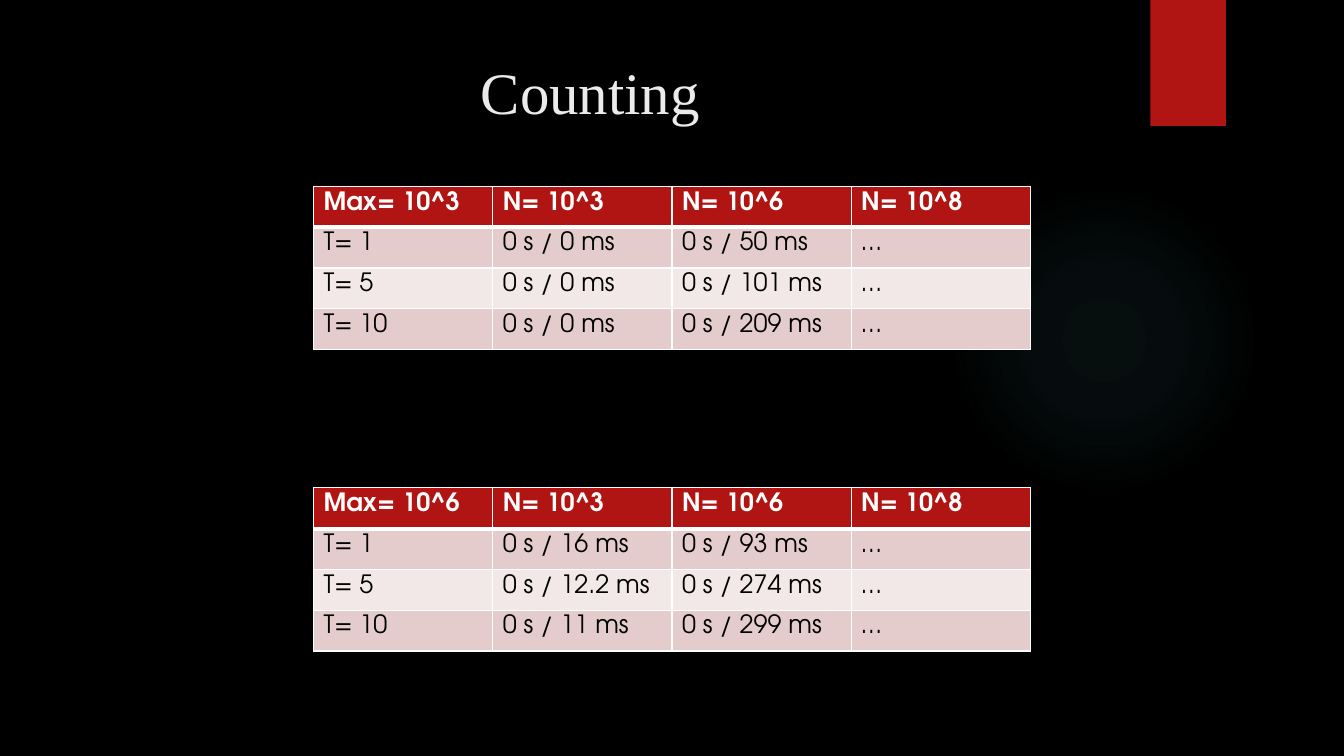
from lxml import etree
from pptx import Presentation
from pptx import util as u
from pptx.dml.color import RGBColor
from pptx.enum import shapes, text
from pptx.oxml import ns

HUES = {
    "back": "000000",
    "title": "EBEBEB",
    "red": "B01513",
    "glow": "50B9C1",
    "dark": "E4CCCC",
    "pale": "F2E8E7",
    "white": "FFFFFF",
    "black": "000000",
}
FONT = "TeX Gyre Adventor"
COUNTS = ["N= 10^3", "N= 10^6", "N= 10^8"]
FAST = [
    ["Max= 10^3", *COUNTS],
    ["T= 1", "0 s / 0 ms", "0 s / 50 ms", "…"],
    ["T= 5", "0 s / 0 ms", "0 s / 101 ms", "…"],
    ["T= 10", "0 s / 0 ms", "0 s / 209 ms", "…"],
]
SLOW = [
    ["Max= 10^6", *COUNTS],
    ["T= 1", "0 s / 16 ms", "0 s / 93 ms", "…"],
    ["T= 5", "0 s / 12.2 ms", "0 s / 274 ms", "…"],
    ["T= 10", "0 s / 11 ms", "0 s / 299 ms", "…"],
]


def paint(fill, hue):
    fill.solid()
    fill.fore_color.rgb = RGBColor.from_string(HUES[hue])


def style(para, font, size, hue, bold=False):
    for run in para.runs:
        run.font.name = font
        run.font.size = u.Pt(size)
        run.font.bold = bold
        run.font.color.rgb = RGBColor.from_string(HUES[hue])


def add_shape(slide, kind, box, hue):
    shape = slide.shapes.add_shape(kind, *map(u.Inches, box))
    shape.shadow.inherit = False
    shape.line.fill.background()
    paint(shape.fill, hue)
    return shape


def add_glow(slide, box):
    shape = add_shape(slide, shapes.MSO_SHAPE.OVAL, box, "glow")
    stops = "".join(
        f'<a:gs pos="{pos * 1000}"><a:srgbClr val="{HUES["glow"]}">'
        f'<a:alpha val="{alpha * 1000}"/></a:srgbClr></a:gs>'
        for pos, alpha in [(0, 7), (36, 6), (69, 0), (100, 0)]
    )
    grad = etree.fromstring(
        f'<a:gradFill {ns.nsdecls("a")}><a:gsLst>{stops}</a:gsLst>'
        '<a:path path="circle"><a:fillToRect l="50000" t="50000" '
        'r="50000" b="50000"/></a:path></a:gradFill>'
    )
    props = shape._element.spPr
    props.replace(props.find(ns.qn("a:solidFill")), grad)


def add_title(slide, words, box):
    frame = slide.shapes.add_textbox(*map(u.Inches, box)).text_frame
    frame.word_wrap = True
    frame.text = words
    para = frame.paragraphs[0]
    para.alignment = text.PP_ALIGN.CENTER
    style(para, "Times New Roman", 42, "title")


def add_lines(cell, row):
    widths = {"L": 1, "R": 1, "T": 3 if row == 1 else 1, "B": 3 if row == 0 else 1}
    props = cell._tc.get_or_add_tcPr()
    for spot, (side, width) in enumerate(widths.items()):
        line = etree.fromstring(
            f'<a:ln{side} {ns.nsdecls("a")} w="{u.Pt(width)}"><a:solidFill>'
            f'<a:srgbClr val="{HUES["white"]}"/></a:solidFill></a:ln{side}>'
        )
        props.insert(spot, line)


def add_grid(slide, rows, box):
    frame = slide.shapes.add_table(len(rows), len(rows[0]), *map(u.Inches, box))
    for r, row in enumerate(rows):
        for c, words in enumerate(row):
            cell = frame.table.cell(r, c)
            cell.text_frame.text = words
            head = r == 0
            style(cell.text_frame.paragraphs[0], FONT, 18,
                  "white" if head else "black", head)
            paint(cell.fill, "red" if head else "dark" if r % 2 else "pale")
            add_lines(cell, r)


def main():
    deck = Presentation()
    deck.slide_width = u.Inches(13.33)
    deck.slide_height = u.Inches(7.5)
    slide = deck.slides.add_slide(deck.slide_layouts[6])
    paint(slide.background.fill, "back")
    add_glow(slide, (9.41, 1.83, 3.08, 3.08))
    add_shape(slide, shapes.MSO_SHAPE.RECTANGLE, (11.41, 0, 0.75, 1.25), "red")
    add_title(slide, "Counting", (0.71, 0.5, 10.29, 1.53))
    for rows, top in [(FAST, 1.85), (SLOW, 4.84)]:
        add_grid(slide, rows, (3.11, top, 7.11, 1.62))
    deck.save("out.pptx")


if __name__ == "__main__":
    main()
